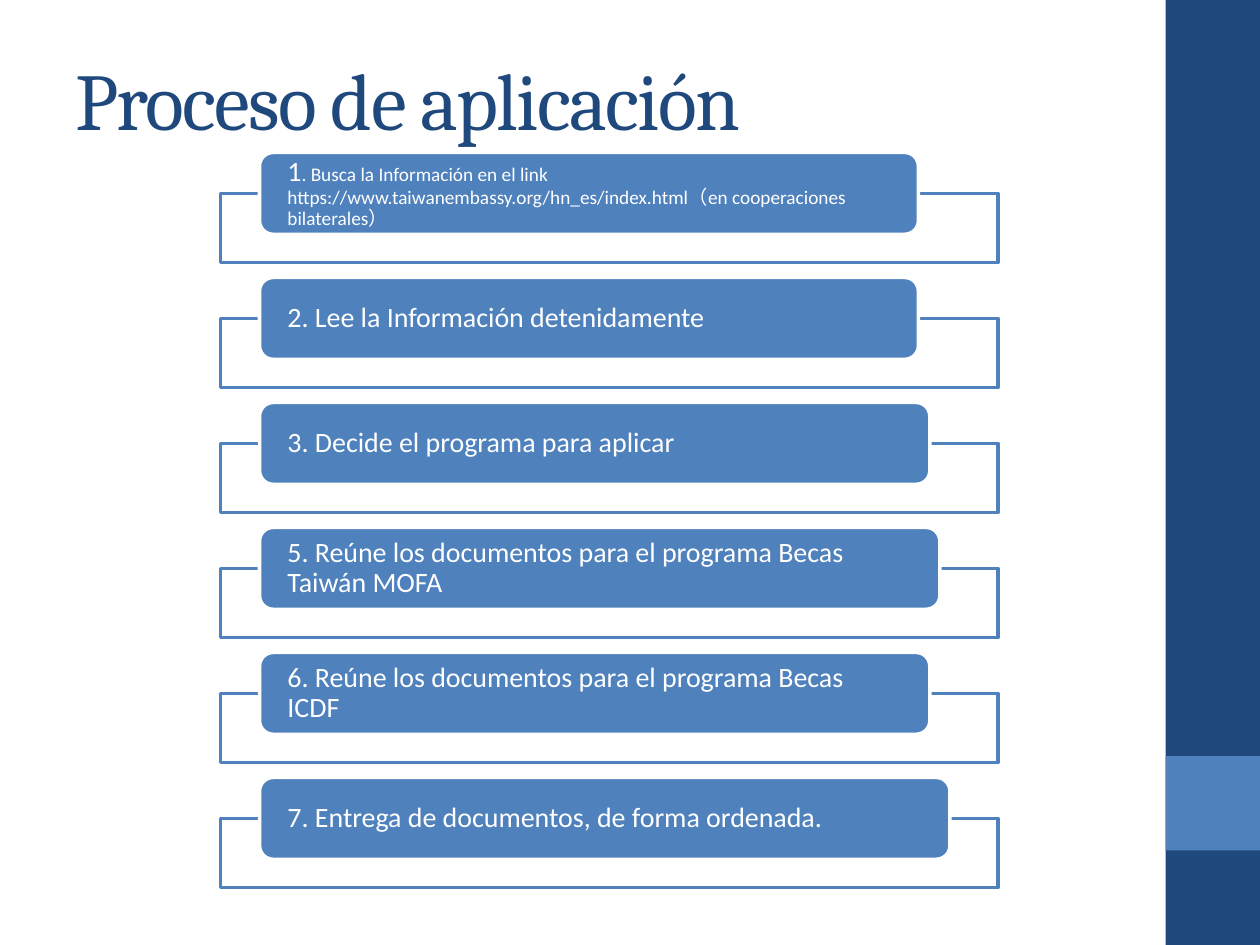
from pptx import Presentation, util as u
from pptx.dml.color import RGBColor
from pptx.enum import shapes, text

NAVY = RGBColor(0x1F, 0x49, 0x7D)
BLUE = RGBColor(0x4F, 0x81, 0xBD)
WHITE = RGBColor(0xFF, 0xFF, 0xFF)

TITLE = "Proceso de aplicación"
# Each step: width of its label, then (text, size) runs
STEPS = [
    (5.23, [("1", 16), (". Busca la Información en el link "
                        "https://www.taiwanembassy.org/hn_es/index.html"
                        "（en cooperaciones bilaterales）", 11)]),
    (5.23, [("2. Lee la Información detenidamente", 16)]),
    (5.32, [("3. Decide el programa para aplicar", 16)]),
    (5.4, [("5. Reúne los documentos para el programa Becas \nTaiwán MOFA", 16)]),
    (5.32, [("6. Reúne los documentos para el programa Becas ICDF", 16)]),
    (5.48, [("7. Entrega de documentos, de forma ordenada.", 16)]),
]
WIDE, HIGH = 10, 7.5
BAND = 0.75                       # side band width
TOP, LAST = 1.21, 6.17            # tops of the first and last labels
PITCH = (LAST - TOP) / (len(STEPS) - 1)
LABEL_X, LABEL_H = 2.06, 0.65
FRAME_X, FRAME_W, FRAME_H = 1.75, 6.17, 0.55
DROP = LABEL_H / 2                # a frame starts at its label's middle


def add_box(slide, kind, box, fill, line=None):
    shape = slide.shapes.add_shape(kind, *map(u.Inches, box))
    shape.shadow.inherit = False
    shape.fill.solid()
    shape.fill.fore_color.rgb = fill
    if line is None:
        shape.line.fill.background()
    else:
        shape.line.color.rgb = line
        shape.line.width = u.Pt(2)
    return shape


def write(shape, runs, font="Calibri", color=WHITE, inset=(0.19, 0.03),
          anchor=text.MSO_ANCHOR.MIDDLE, lead=0.9, track=None):
    """Fill a shape with one paragraph of (text, size) runs; track is in points."""
    frame = shape.text_frame
    frame.word_wrap = True
    frame.auto_size = text.MSO_AUTO_SIZE.NONE
    frame.vertical_anchor = anchor
    frame.margin_left = frame.margin_right = u.Inches(inset[0])
    frame.margin_top = frame.margin_bottom = u.Inches(inset[1])
    para = frame.paragraphs[0]
    para.alignment = text.PP_ALIGN.LEFT
    para.line_spacing = lead
    for words, size in runs:
        for i, part in enumerate(words.split("\n")):
            if i:
                para.add_line_break()
            run = para.add_run()
            run.text = part
            run.font.name = font
            run.font.size = u.Pt(size)
            run.font.color.rgb = color
            if track is not None:
                run.font._element.set("spc", str(track * 100))


def main():
    deck = Presentation()
    deck.slide_width, deck.slide_height = u.Inches(WIDE), u.Inches(HIGH)
    slide = deck.slides.add_slide(deck.slide_layouts[5])
    rect = shapes.MSO_SHAPE.RECTANGLE
    side = WIDE - BAND
    add_box(slide, rect, (side, 0, BAND, HIGH), NAVY)
    add_box(slide, rect, (side, HIGH * 0.8, BAND, BAND), BLUE)

    for row, (width, runs) in enumerate(STEPS):
        top = TOP + row * PITCH
        add_box(slide, rect, (FRAME_X, top + DROP, FRAME_W, FRAME_H), WHITE, BLUE)
        label = add_box(slide, shapes.MSO_SHAPE.ROUNDED_RECTANGLE,
                        (LABEL_X, top, width, LABEL_H), BLUE, WHITE)
        write(label, runs)

    title = slide.shapes.title
    title.left, title.top = u.Inches(0.5), u.Inches(0.3)
    title.width, title.height = u.Inches(8.33), u.Inches(0.62)
    write(title, [(TITLE, 46)], font="Cambria", color=NAVY, inset=(0.1, 0.1),
          anchor=text.MSO_ANCHOR.TOP, lead=1, track=-1)
    deck.save("out.pptx")


if __name__ == "__main__":
    main()
